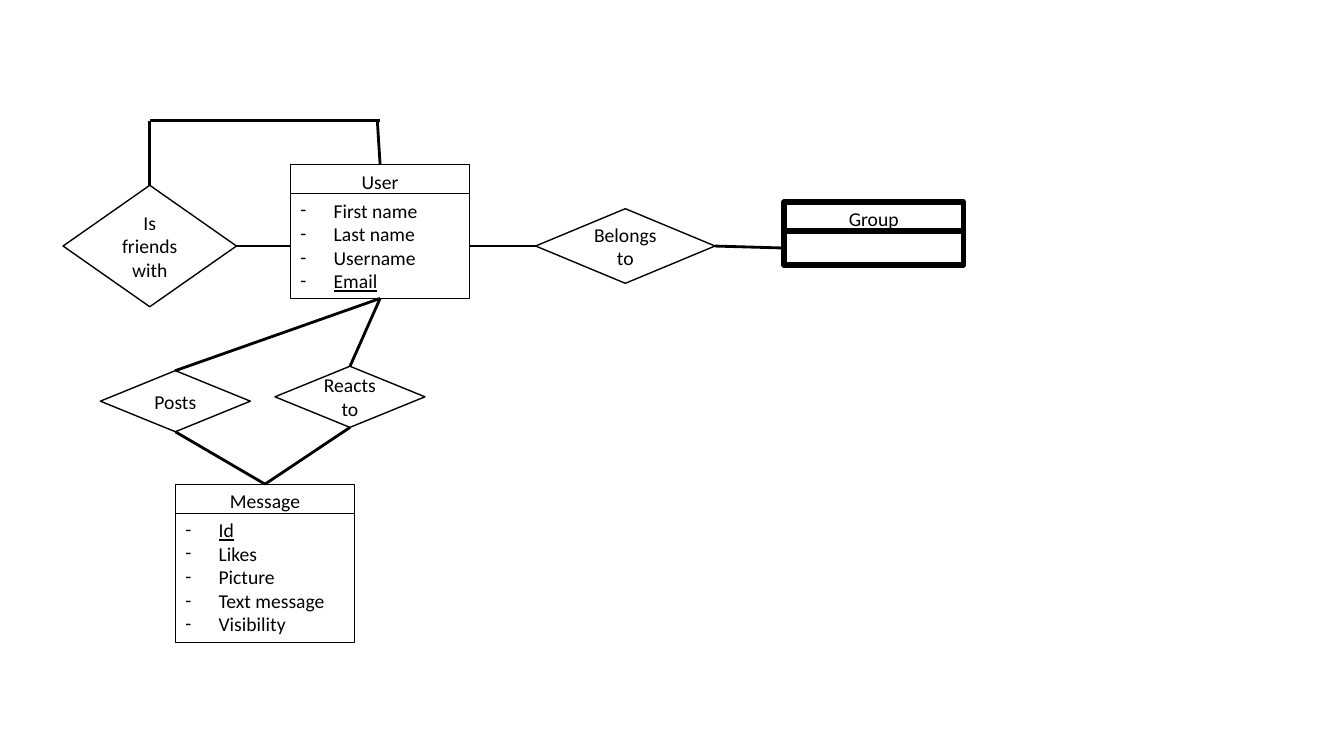
from dataclasses import dataclass
from enum import IntEnum

from lxml import etree
from pptx import Presentation
from pptx import util as u
from pptx.dml.color import RGBColor
from pptx.enum import shapes, text
from pptx.oxml import ns

BLACK = RGBColor(0x00, 0x00, 0x00)
WHITE = RGBColor(0xFF, 0xFF, 0xFF)
FONT_NAME = "Calibri"
FONT_SIZE = u.Pt(14)
LINK_WIDTH = u.Pt(2)
BULLET_INDENT = u.Cm(0.84)
ENTITY_WIDTH = 4.52
HEADER_HEIGHT = 0.86
BODY_OFFSET = 0.73
LOOP_TOP = u.Cm(3.04)
LOOP_SLANT = u.Cm(0.07)


class Side(IntEnum):
    """Connection sites shared by rectangles and diamonds."""
    TOP = 0
    LEFT = 1
    BOTTOM = 2
    RIGHT = 3


@dataclass(frozen=True)
class Entity:
    name: str
    left: float
    top: float
    body_height: float
    attributes: tuple[str, ...] = ()
    key: str = ""
    line_width: float = 0.75


@dataclass(frozen=True)
class Relation:
    name: str
    left: float
    top: float
    width: float
    height: float


@dataclass(frozen=True)
class Link:
    start: str
    start_side: Side
    end: str
    end_side: Side


ENTITIES = (
    Entity("User", 7.32, 4.15, 2.64,
           ("First name", "Last name", "Username", "Email"), "Email"),
    Entity("Group", 19.76, 5.09, HEADER_HEIGHT, line_width=4),
    Entity("Message", 4.42, 12.2, 3.25,
           ("Id", "Likes", "Picture", "Text message", "Visibility"), "Id"),
)
RELATIONS = (
    Relation("Is friends with", 1.59, 4.67, 4.37, 3.06),
    Relation("Belongs to", 13.5, 5.26, 4.52, 1.88),
    Relation("Posts", 2.53, 9.34, 3.78, 1.54),
    Relation("Reacts to", 6.93, 9.23, 3.78, 1.54),
)
LINKS = (
    Link("User body", Side.LEFT, "Is friends with", Side.RIGHT),
    Link("Belongs to", Side.LEFT, "User body", Side.RIGHT),
    Link("Group body", Side.LEFT, "Belongs to", Side.RIGHT),
    Link("User body", Side.BOTTOM, "Posts", Side.TOP),
    Link("Posts", Side.BOTTOM, "Message", Side.TOP),
    Link("User body", Side.BOTTOM, "Reacts to", Side.TOP),
    Link("Reacts to", Side.BOTTOM, "Message", Side.TOP),
)


def add_box(parent, kind, left: float, top: float, width: float,
            height: float, line_width: float):
    shape = parent.add_shape(kind, u.Cm(left), u.Cm(top), u.Cm(width), u.Cm(height))
    shape.shadow.inherit = False
    shape.fill.solid()
    shape.fill.fore_color.rgb = WHITE
    shape.line.color.rgb = BLACK
    shape.line.width = u.Pt(line_width)
    return shape


def write_lines(shape, lines: tuple[str, ...], alignment, anchor, key: str = "") -> None:
    frame = shape.text_frame
    frame.word_wrap = True
    frame.vertical_anchor = anchor
    frame.text = "\n".join(lines)
    for paragraph in frame.paragraphs:
        paragraph.alignment = alignment
        for run in paragraph.runs:
            run.font.name = FONT_NAME
            run.font.size = FONT_SIZE
            run.font.color.rgb = BLACK
            if run.text == key:
                run.font.underline = True


def add_dash_bullets(shape) -> None:
    for paragraph in shape.text_frame.paragraphs:
        properties = paragraph._p.get_or_add_pPr()
        properties.set("marL", str(BULLET_INDENT))
        properties.set("indent", str(-BULLET_INDENT))
        etree.SubElement(properties, ns.qn("a:buFont")).set("typeface", FONT_NAME)
        etree.SubElement(properties, ns.qn("a:buChar")).set("char", "-")


def add_entity(slide, entity: Entity) -> dict:
    group = slide.shapes.add_group_shape()
    rectangle = shapes.MSO_SHAPE.RECTANGLE
    header = add_box(group.shapes, rectangle, entity.left, entity.top,
                     ENTITY_WIDTH, HEADER_HEIGHT, entity.line_width)
    write_lines(header, (entity.name,), text.PP_ALIGN.CENTER, text.MSO_ANCHOR.TOP)
    body = add_box(group.shapes, rectangle, entity.left, entity.top + BODY_OFFSET,
                   ENTITY_WIDTH, entity.body_height, entity.line_width)
    if entity.attributes:
        write_lines(body, entity.attributes, text.PP_ALIGN.LEFT,
                    text.MSO_ANCHOR.TOP, entity.key)
        add_dash_bullets(body)
    return {entity.name: header, f"{entity.name} body": body}


def add_relation(slide, relation: Relation):
    diamond = add_box(slide.shapes, shapes.MSO_SHAPE.DIAMOND, relation.left,
                      relation.top, relation.width, relation.height, 1)
    write_lines(diamond, (relation.name,), text.PP_ALIGN.CENTER, text.MSO_ANCHOR.MIDDLE)
    return diamond


def add_line(slide, start: tuple[int, int] = (0, 0), end: tuple[int, int] = (0, 0)):
    connector = slide.shapes.add_connector(shapes.MSO_CONNECTOR.STRAIGHT, *start, *end)
    connector.line.color.rgb = BLACK
    connector.line.width = LINK_WIDTH
    etree.SubElement(connector._element.spPr, ns.qn("a:effectLst"))
    return connector


def add_link(slide, link: Link, boxes: dict) -> None:
    connector = add_line(slide)
    connector.begin_connect(boxes[link.start], link.start_side)
    connector.end_connect(boxes[link.end], link.end_side)


def add_friend_loop(slide, user, friends) -> None:
    user_x = user.left + user.width // 2
    friends_x = friends.left + friends.width // 2
    add_line(slide, (user_x, LOOP_TOP), (friends_x, LOOP_TOP))
    add_line(slide, (friends_x, friends.top), (friends_x, LOOP_TOP))
    add_line(slide, (user_x, user.top), (user_x - LOOP_SLANT, LOOP_TOP))


def main() -> None:
    presentation = Presentation()
    presentation.slide_width = u.Cm(33.87)
    presentation.slide_height = u.Cm(19.05)
    slide = presentation.slides.add_slide(presentation.slide_layouts[6])

    # Entities and relations
    boxes: dict = {}
    for entity in ENTITIES:
        boxes.update(add_entity(slide, entity))
    for relation in RELATIONS:
        boxes[relation.name] = add_relation(slide, relation)

    # Links between them
    for link in LINKS:
        add_link(slide, link, boxes)
    add_friend_loop(slide, boxes["User"], boxes["Is friends with"])

    presentation.save("out.pptx")


if __name__ == "__main__":
    main()
